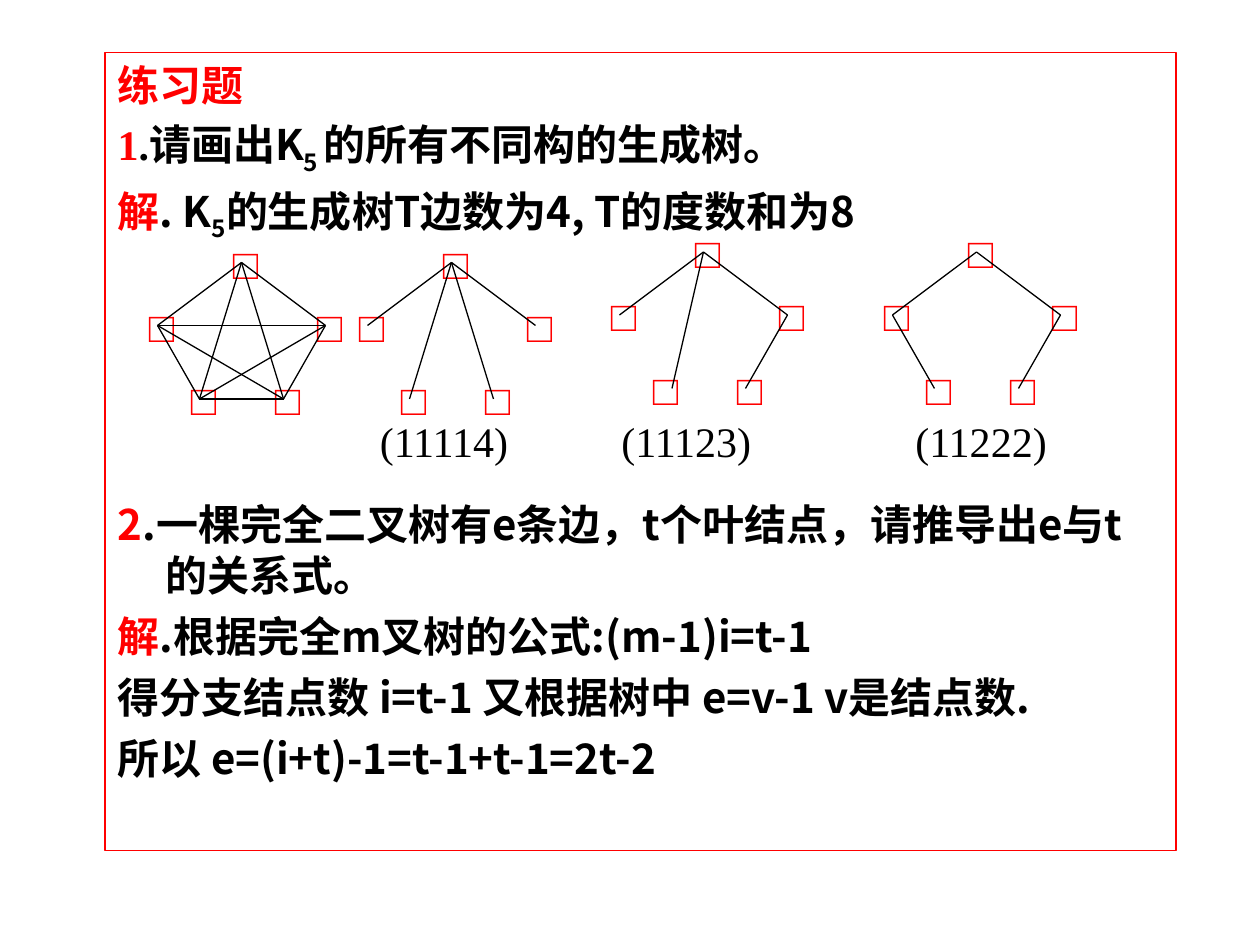
from dataclasses import dataclass
from itertools import combinations
from typing import NamedTuple

from lxml import etree
from pptx import Presentation
from pptx.dml.color import RGBColor
from pptx.enum.shapes import MSO_CONNECTOR
from pptx.enum.text import MSO_ANCHOR, MSO_AUTO_SIZE
from pptx.oxml.ns import qn
from pptx.util import Inches, Pt

STRAIGHT = MSO_CONNECTOR.STRAIGHT
TOP = MSO_ANCHOR.TOP
NO_FIT = MSO_AUTO_SIZE.NONE

COLORS = {"accent": "FF0000", "ink": "000000"}
SERIF, HAN, SANS = "Times New Roman", "Noto Sans CJK SC", "Arial"
CELL = Inches(10) // 120
TEXT_SIZE = Pt(24)
LINE_HEIGHT = Pt(29)
HANGING = Inches(0.38)


class Spot(NamedTuple):
    """A column and row on the grid of twelve cells to the inch."""

    col: int
    row: int


class Span(NamedTuple):
    """A stretch of text with its colour, font and baseline."""

    text: str
    color: str = "ink"
    font: str = HAN
    subscript: bool = False


class Line(NamedTuple):
    """A paragraph of the exercise and the points of space before it."""

    spans: list[Span]
    gap: int = 6


@dataclass
class Graph:
    """A graph on five vertices, its place, edges and degree sequence."""

    origin: Spot
    edges: list[str]
    degrees: str = ""
    label_col: int = 0


VERTICES = {"t": Spot(8, 0), "l": Spot(0, 6), "r": Spot(16, 6),
            "a": Spot(4, 13), "b": Spot(12, 13)}
EDGE_ENDS = VERTICES | {"c": Spot(5, 13)}
VERTEX_SPAN = Spot(7, 6)
EDGE_INSET = Spot(2, 3)
LABEL_ROW, LABEL_SPAN = 39, Spot(17, 6)

GRAPHS = [
    Graph(Spot(13, 22), ["".join(pair) for pair in combinations(VERTICES, 2)]),
    Graph(Spot(33, 22), ["tr", "tl", "ta", "tb"], "(11114)", 35),
    Graph(Spot(57, 21), ["tr", "tl", "rb", "tc"], "(11123)", 58),
    Graph(Spot(83, 21), ["tr", "tl", "la", "rb"], "(11222)", 86),
]

EXERCISE = [
    Line([Span("练习题", "accent", SERIF)], 0),
    Line([Span("1", "accent", SERIF), Span(".", font=SERIF), Span("请画出K"),
          Span("5 ", subscript=True), Span("的所有不同构的生成树。")], 9),
    Line([Span("解", "accent"), Span(". K"), Span("5", subscript=True),
          Span("的生成树T边数为4, T的度数和为8")], 9),
    Line([Span("2", "accent"),
          Span(".一棵完全二叉树有e条边，t个叶结点，请推导出e与t的关系式。")], 146),
    Line([Span("解", "accent"), Span(".根据完全m叉树的公式:(m-1)i=t-1")]),
    Line([Span("得分支结点数 i=t-1 又根据树中 e=v-1 v是结点数.")]),
    Line([Span("所以 e=(i+t)-1=t-1+t-1=2t-2")]),
]


def rgb(name: str) -> RGBColor:
    """Return a palette colour."""
    return RGBColor.from_string(COLORS[name])


def style(font, face: str, color: str, bold: bool) -> None:
    """Apply face, colour and weight at the common text size."""
    font.name, font.size, font.bold = face, TEXT_SIZE, bold
    font.color.rgb = rgb(color)


def write_line(paragraph, line: Line) -> None:
    """Write one hanging, unbulleted paragraph of the exercise."""
    properties = paragraph._p.get_or_add_pPr()
    properties.set("marL", str(HANGING))
    properties.set("indent", str(-HANGING))
    paragraph.line_spacing = LINE_HEIGHT
    paragraph.space_before = Pt(line.gap)
    etree.SubElement(properties, qn("a:buNone"))
    for span in line.spans:
        run = paragraph.add_run()
        run.text = span.text
        style(run.font, span.font, span.color, True)
        run_properties = run.font._element
        etree.SubElement(run_properties, qn("a:ea")).set("typeface", HAN)
        if span.subscript:
            run_properties.set("baseline", "-25000")


def write_exercise(body) -> None:
    """Frame the body placeholder and fill it with the exercise."""
    body.left, body.top = 10 * CELL, 5 * CELL
    body.width, body.height = 102 * CELL, 76 * CELL
    body.line.color.rgb = rgb("accent")
    body.line.width = Pt(0.75)
    frame = body.text_frame
    frame.auto_size, frame.vertical_anchor = NO_FIT, TOP
    for index, line in enumerate(EXERCISE):
        write_line(frame.add_paragraph() if index else frame.paragraphs[0], line)


def add_text(shapes, spot: Spot, span: Spot, text: str,
             face: str, color: str, bold: bool) -> None:
    """Add a text box placed and sized in grid cells."""
    box = shapes.add_textbox(spot.col * CELL, spot.row * CELL,
                             span.col * CELL, span.row * CELL)
    box.text_frame.word_wrap = True
    box.text_frame.text = text
    style(box.text_frame.paragraphs[0].runs[0].font, face, color, bold)


def shift(spot: Spot, offset: Spot) -> Spot:
    """Move a spot by an offset."""
    return Spot(spot.col + offset.col, spot.row + offset.row)


def add_edge(shapes, start: Spot, end: Spot) -> None:
    """Draw a thin edge between two spots."""
    edge = shapes.add_connector(STRAIGHT, start.col * CELL, start.row * CELL,
                                end.col * CELL, end.row * CELL)
    edge.line.color.rgb = rgb("ink")
    edge.line.width = Pt(0.75)
    etree.SubElement(edge._element.spPr, qn("a:effectLst"))


def draw_graph(shapes, graph: Graph) -> None:
    """Draw the vertices and edges of a graph as one group."""
    group = shapes.add_group_shape().shapes
    for vertex in VERTICES.values():
        add_text(group, shift(graph.origin, vertex), VERTEX_SPAN,
                 "□", SANS, "accent", True)
    corner = shift(graph.origin, EDGE_INSET)
    for start, end in graph.edges:
        add_edge(group, shift(corner, EDGE_ENDS[start]), shift(corner, EDGE_ENDS[end]))


def main() -> None:
    """Build the exercise slide and save it."""
    deck = Presentation()
    deck.slide_width, deck.slide_height = 120 * CELL, 90 * CELL
    slide = deck.slides.add_slide(deck.slide_layouts[1])
    title = slide.shapes.title._element
    title.getparent().remove(title)
    write_exercise(slide.placeholders[1])
    for graph in GRAPHS:
        draw_graph(slide.shapes, graph)
        if graph.degrees:
            add_text(slide.shapes, Spot(graph.label_col, LABEL_ROW), LABEL_SPAN,
                     graph.degrees, SERIF, "ink", False)
    deck.save("out.pptx")


if __name__ == "__main__":
    main()
